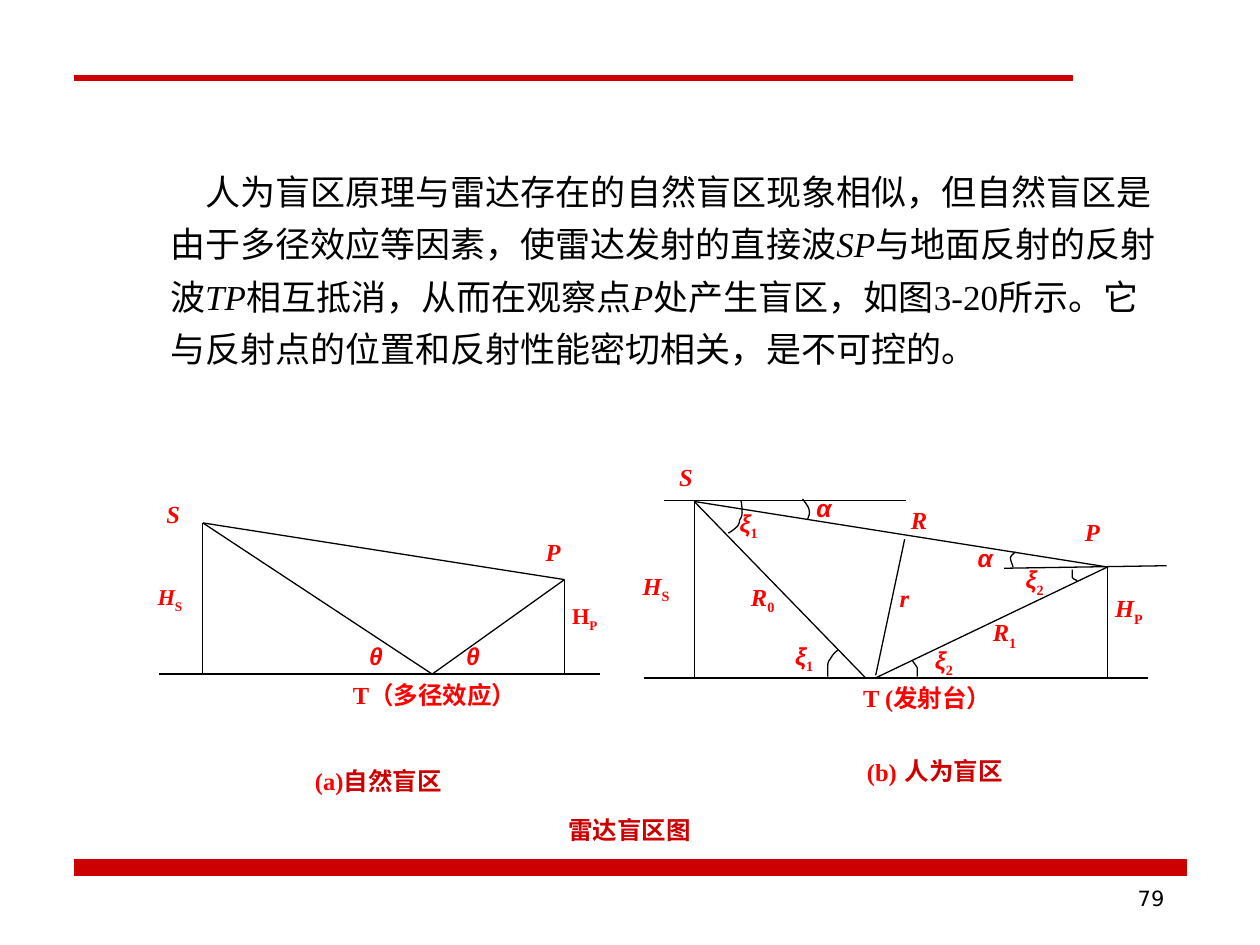
import pptx
import pptx.dml.color
import pptx.enum.shapes
import pptx.enum.text
import pptx.oxml
import pptx.oxml.ns
import pptx.util
from pptx.util import Inches

COLORS = {"bar": "CC0000", "label": "FF0000", "ink": "000000"}
SERIF = "Times New Roman"
SANS = "Arial"
ALIGN = pptx.enum.text.PP_ALIGN

BODY_RUNS = [
    ("人为盲区原理与雷达存在的自然盲区现象相似，但自然盲区是由于多径效应等因素，使雷达发射的直接波", False),
    ("SP", True),
    ("与地面反射的反射波", False),
    ("TP", True),
    ("相互抵消，从而在观察点", False),
    ("P", True),
    ("处产生盲区，如图3-20所示。它与反射点的位置和反射性能密切相关，是不可控的。", False),
]

NATURAL_LINES = [
    (1.61, 4.15, 4.48, 4.6), (1.26, 5.35, 4.76, 5.35), (1.61, 4.15, 1.61, 5.35),
    (4.48, 4.6, 4.48, 5.35), (1.61, 4.15, 3.43, 5.35), (3.43, 5.35, 4.48, 4.6),
]
ARTIFICIAL_LINES = [
    (5.51, 3.98, 8.79, 4.5), (5.11, 5.38, 9.11, 5.38), (5.51, 3.98, 5.51, 5.38),
    (8.79, 4.5, 8.79, 5.38), (5.51, 3.98, 6.87, 5.38), (6.95, 5.38, 8.79, 4.5),
    (5.27, 3.97, 7.19, 3.97), (7.97, 4.51, 9.26, 4.49), (6.95, 5.36, 7.18, 4.28),
]

ANGLE_ARCS = [
    [(5.88, 3.97), (5.89, 4.01), (5.89, 4.05), (5.89, 4.07), (5.89, 4.1), (5.88, 4.11), (5.87, 4.13),
     (5.87, 4.15), (5.86, 4.17), (5.85, 4.18), (5.83, 4.2), (5.79, 4.23), (5.78, 4.23)],
    [(6.65, 5.16), (6.62, 5.18), (6.6, 5.21), (6.59, 5.23), (6.57, 5.25), (6.57, 5.27), (6.57, 5.29),
     (6.57, 5.32), (6.57, 5.34), (6.57, 5.37)],
    [(7.24, 5.24), (7.25, 5.26), (7.27, 5.28), (7.28, 5.3), (7.28, 5.33), (7.28, 5.35), (7.28, 5.37)],
    [(8.51, 4.52), (8.51, 4.54), (8.51, 4.57), (8.51, 4.58), (8.52, 4.6), (8.54, 4.6), (8.55, 4.61)],
    [(6.37, 3.96), (6.39, 3.99), (6.41, 4.01), (6.42, 4.04), (6.43, 4.07), (6.42, 4.1), (6.41, 4.12)],
    [(8.06, 4.38), (8.04, 4.4), (8.02, 4.41), (8.02, 4.43), (8.02, 4.45), (8.04, 4.49), (8.04, 4.5)],
]

NATURAL_SYMBOLS = [
    ("S", "", 1.26, 3.93), ("P", "", 4.27, 4.23), ("θ", "", 2.87, 5.06), ("θ", "", 3.64, 5.06),
]
ARTIFICIAL_SYMBOLS = [
    ("S", "", 5.33, 3.64), ("P", "", 8.55, 4.07), ("H", "S", 5.04, 4.5), ("H", "P", 8.79, 4.68),
    ("ξ", "1", 6.25, 5.06), ("ξ", "1", 5.81, 4.0), ("ξ", "2", 7.36, 5.09), ("ξ", "2", 8.08, 4.45),
    ("α", "", 6.42, 3.88), ("α", "", 7.7, 4.28), ("R", "0", 5.9, 4.59), ("R", "1", 7.82, 4.87),
    ("R", "", 7.17, 3.98), ("r", "", 7.08, 4.6),
]


def rgb(name):
    return pptx.dml.color.RGBColor.from_string(COLORS[name])


def add_bar(slide, left, top, width, height):
    shape = slide.shapes.add_shape(pptx.enum.shapes.MSO_SHAPE.RECTANGLE,
                                   Inches(left), Inches(top), Inches(width), Inches(height))
    shape.shadow.inherit = False
    shape.fill.solid()
    shape.fill.fore_color.rgb = rgb("bar")
    shape.line.color.rgb = rgb("bar")
    shape.line.width = pptx.util.Pt(0.5)


def add_line(slide, *ends):
    connector = slide.shapes.add_connector(pptx.enum.shapes.MSO_CONNECTOR.STRAIGHT, *map(Inches, ends))
    connector.line.color.rgb = rgb("ink")
    connector.line.width = pptx.util.Pt(0.75)
    properties = connector._element.spPr
    properties.append(pptx.oxml.parse_xml(f"<a:effectLst {pptx.oxml.ns.nsdecls('a')}/>"))


def curve_points(controls, steps=6):
    points = [controls[0]]
    for start in range(0, len(controls) - 1, 3):
        segment = controls[start:start + 4]
        for step in range(1, steps + 1):
            t = step / steps
            weights = ((1 - t) ** 3, 3 * t * (1 - t) ** 2, 3 * t ** 2 * (1 - t), t ** 3)
            points.append(tuple(sum(w * p[axis] for w, p in zip(weights, segment)) for axis in (0, 1)))
    return points


def add_arc(slide, controls):
    points = [(Inches(x), Inches(y)) for x, y in curve_points(controls)]
    builder = slide.shapes.build_freeform(*points[0])
    builder.add_line_segments(points[1:], close=False)
    shape = builder.convert_to_shape()
    shape.shadow.inherit = False
    shape.fill.background()
    shape.line.color.rgb = rgb("ink")
    shape.line.width = pptx.util.Pt(0.75)


def add_text_box(slide, left, top, width, height, inset=(0.06, 0.03), align=ALIGN.JUSTIFY):
    shape = slide.shapes.add_textbox(Inches(left), Inches(top), Inches(width), Inches(height))
    text_frame = shape.text_frame
    text_frame.word_wrap = True
    text_frame.margin_left = text_frame.margin_right = Inches(inset[0])
    text_frame.margin_top = text_frame.margin_bottom = Inches(inset[1])
    text_frame.paragraphs[0].alignment = align
    return text_frame


def add_run(paragraph, text, color="label", size=14, font=SERIF, bold=True, italic=False):
    run = paragraph.add_run()
    run.text = text
    run.font.name = font
    run.font.size = pptx.util.Pt(size)
    run.font.bold = bold
    run.font.italic = italic
    run.font.color.rgb = rgb(color)
    return run


def add_symbol(slide, symbol, subscript, left, top, width=0.48, height=0.36,
               size=14, italic=True, spacing=None):
    paragraph = add_text_box(slide, left, top, width, height).paragraphs[0]
    paragraph.line_spacing = spacing
    add_run(paragraph, symbol, size=size, font=SANS if symbol in "αθξ" else SERIF, italic=italic)
    if subscript:
        run = add_run(paragraph, subscript, size=size)
        run.font._element.set("baseline", "-25000")


def add_caption(slide, left, top, width, *runs):
    text_frame = add_text_box(slide, left, top, width, 0.32, (0.09, 0.04), ALIGN.LEFT)
    for text, color in runs:
        add_run(text_frame.paragraphs[0], text, color)


def add_note(slide, text, left, top, width, height):
    add_run(add_text_box(slide, left, top, width, height).paragraphs[0], text)


def add_body(slide):
    text_frame = add_text_box(slide, 1.26, 1.22, 8.05, 1.76, (0.09, 0.04), ALIGN.LEFT)
    text_frame.vertical_anchor = pptx.enum.text.MSO_ANCHOR.MIDDLE
    paragraph = text_frame.paragraphs[0]
    paragraph.line_spacing = 1.25
    properties = paragraph._p.get_or_add_pPr()
    properties.set("marL", "0")
    properties.set("indent", str(Inches(0.28)))
    for text, italic in BODY_RUNS:
        add_run(paragraph, text, "ink", 20, bold=False, italic=italic)


def main():
    presentation = pptx.Presentation()
    presentation.slide_width = Inches(10)
    presentation.slide_height = Inches(7.5)
    slide = presentation.slides.add_slide(presentation.slide_layouts[6])

    add_bar(slide, 0.59, 6.82, 8.83, 0.13)
    add_bar(slide, 0.59, 0.6, 7.92, 0.04)
    number = add_text_box(slide, 7.17, 6.98, 2.17, 0.52, (0.1, 0.05), ALIGN.RIGHT)
    add_run(number.paragraphs[0], "79", "ink", 12, "DejaVu Sans", bold=False)
    add_body(slide)

    add_caption(slide, 2.41, 6.04, 1.5, ("(a)", "label"), ("自然盲区", "bar"))
    add_caption(slide, 7.09, 5.96, 1.04, ("人为盲区", "bar"))
    add_caption(slide, 4.42, 6.43, 1.97, ("雷达盲区图", "bar"))
    add_note(slide, "(b)", 6.82, 5.98, 0.69, 0.36)
    add_note(slide, "T (发射台）", 6.79, 5.39, 1.28, 0.33)
    add_note(slide, "T（多径效应）", 2.74, 5.37, 1.48, 0.31)

    for ends in ARTIFICIAL_LINES + NATURAL_LINES:
        add_line(slide, *ends)
    for controls in ANGLE_ARCS:
        add_arc(slide, controls)
    for symbol in ARTIFICIAL_SYMBOLS:
        add_symbol(slide, *symbol)
    for symbol in NATURAL_SYMBOLS:
        add_symbol(slide, *symbol, width=0.42, height=0.31)
    add_symbol(slide, "H", "S", 1.19, 4.6, 0.42, 0.31, size=12.9, spacing=0.9)
    add_symbol(slide, "H", "P", 4.48, 4.75, 0.42, 0.31, size=12.9, italic=False, spacing=0.9)

    presentation.save("out.pptx")


if __name__ == "__main__":
    main()
